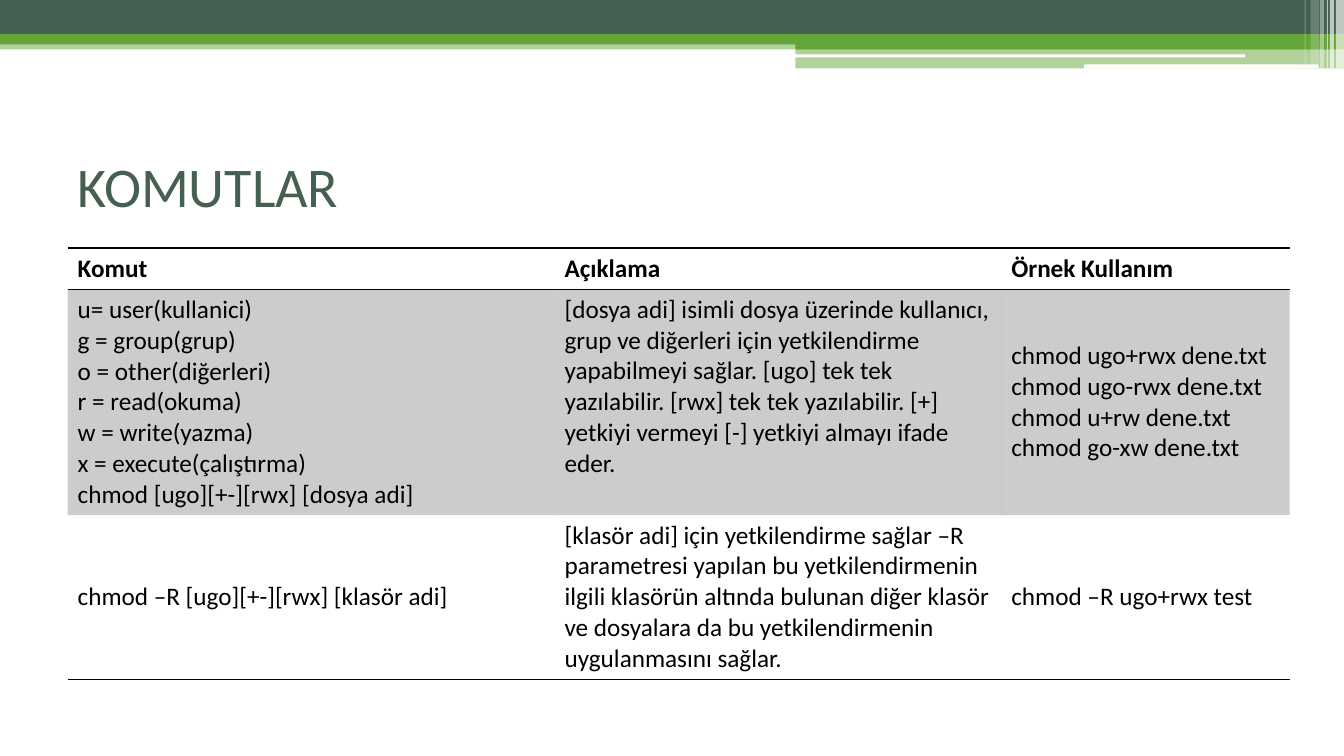
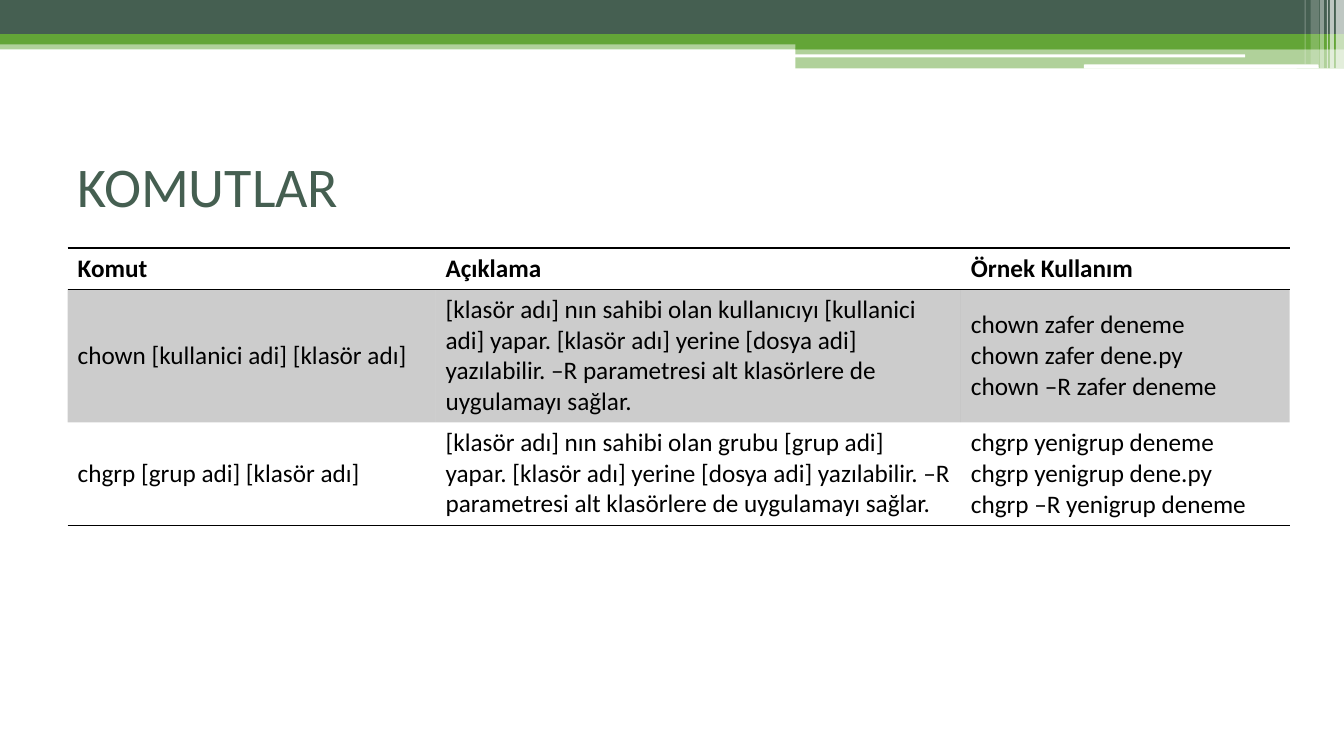
from dataclasses import dataclass

from lxml.etree import SubElement
from pptx import Presentation
from pptx.dml.color import RGBColor
from pptx.enum.shapes import MSO_SHAPE
from pptx.enum.text import MSO_ANCHOR, PP_ALIGN
from pptx.oxml.ns import qn
from pptx.util import Pt

PX = 9144  # EMU per px, 100 px to the inch


@dataclass(frozen=True)
class Theme:
    font: str = "Calibri"
    title_size: int = 40
    cell_size: int = 18
    rule_width: int = 1
    dark: str = "455F51"
    green: str = "63A537"
    white: str = "FFFFFF"
    black: str = "000000"
    stripe_opacity: int = 20


THEME = Theme()
SLIDE_SIZE = (1333, 750)
TITLE_BOX = (67, 125, 1200, 117)
TABLE_ORIGIN = (67, 246)
NO_TABLE_STYLE = "{2D5ABB26-0587-4C30-8999-92F81FD0307C}"

# left, top, width, height, colour, opacity in percent
BANDS = [
    (0, 40, 1333, 9, THEME.green, 50),
    (0, 0, 1333, 34, THEME.dark, 100),
    (0, 34, 1333, 10, THEME.green, 100),
    (789, 39, 544, 10, THEME.green, 100),
    (789, 48, 544, 20, THEME.green, 50),
]
ROUNDED_LINES = [
    (788, 54, 447, 3, THEME.white, 100),
    (1075, 64, 233, 4, THEME.white, 100),
]
CORNER_STRIPS = [
    (1325, 0, 8, 68, THEME.white, 65),
    (1319, 0, 4, 68, THEME.white, 65),
    (1316, 0, 1, 68, THEME.white, 60),
    (1309, 0, 4, 68, THEME.white, 40),
    (1300, 0, 8, 64, THEME.white, 20),
    (1294, 0, 1, 64, THEME.white, 30),
]

HEADER = ["Komut", "Açıklama", "Örnek Kullanım"]
COLUMN_ANCHORS = [MSO_ANCHOR.MIDDLE, MSO_ANCHOR.TOP, MSO_ANCHOR.MIDDLE]
SLIDES = [
    {
        "title": "KOMUTLAR",
        "columns": [483, 443, 286],
        "heights": [41, 224, 163],
        "commands": [
            [
                "u= user(kullanici)\ng = group(grup)\no = other(diğerleri)\n"
                "r = read(okuma)\nw = write(yazma)\nx = execute(çalıştırma)\n"
                "chmod [ugo][+-][rwx] [dosya adi]",
                "[dosya adi] isimli dosya üzerinde kullanıcı, grup ve diğerleri için "
                "yetkilendirme yapabilmeyi sağlar. [ugo] tek tek yazılabilir. [rwx] tek "
                "tek yazılabilir. [+] yetkiyi vermeyi [-] yetkiyi almayı ifade eder.",
                "chmod ugo+rwx dene.txt\nchmod ugo-rwx dene.txt\n"
                "chmod u+rw dene.txt\nchmod go-xw dene.txt",
            ],
            [
                "chmod –R [ugo][+-][rwx] [klasör adi]",
                "[klasör adi] için yetkilendirme sağlar –R parametresi yapılan bu "
                "yetkilendirmenin ilgili klasörün altında bulunan diğer klasör ve "
                "dosyalara da bu yetkilendirmenin uygulanmasını sağlar.",
                "chmod –R ugo+rwx test",
            ],
        ],
    },
    {
        "title": "KOMUTLAR",
        "columns": [365, 521, 326],
        "heights": [41, 132, 102],
        "commands": [
            [
                "chown [kullanici adi] [klasör adı]",
                "[klasör adı] nın sahibi olan kullanıcıyı [kullanici adi] yapar. "
                "[klasör adı] yerine [dosya adi] yazılabilir. –R parametresi alt "
                "klasörlere de uygulamayı sağlar.",
                "chown zafer deneme\nchown zafer dene.py\nchown –R zafer deneme",
            ],
            [
                "chgrp [grup adi] [klasör adı]",
                "[klasör adı] nın sahibi olan grubu [grup adi] yapar. [klasör adı] "
                "yerine [dosya adi] yazılabilir. –R parametresi alt klasörlere de "
                "uygulamayı sağlar.",
                "chgrp yenigrup deneme\nchgrp yenigrup dene.py\n"
                "chgrp –R yenigrup deneme",
            ],
        ],
    },
]


def emu(lengths):
    return [length * PX for length in lengths]


def paint(fill, color, opacity=100):
    fill.solid()
    fill.fore_color.rgb = RGBColor.from_string(color)
    if opacity < 100:
        rgb = next(fill._xPr.iter(qn("a:srgbClr")))
        SubElement(rgb, qn("a:alpha"), val=str(opacity * 1000))


def write(frame, text, *, size, color, bold=False, anchor=MSO_ANCHOR.MIDDLE):
    """Fill a text frame, one paragraph for each line of text."""
    frame.text = text
    frame.word_wrap = True
    frame.vertical_anchor = anchor
    for paragraph in frame.paragraphs:
        paragraph.alignment = PP_ALIGN.LEFT
        for run in paragraph.runs:
            run.font.name = THEME.font
            run.font.size = Pt(size)
            run.font.bold = bold
            run.font.color.rgb = RGBColor.from_string(color)


def add_rule(cell, side):
    """Draw a border line on one side of a cell: lnT or lnB."""
    line = SubElement(cell._tc.get_or_add_tcPr(), qn(f"a:{side}"),
                      w=str(Pt(THEME.rule_width)))
    fill = SubElement(line, qn("a:solidFill"))
    SubElement(fill, qn("a:srgbClr"), val=THEME.black)


def add_bands(slide, layout):
    """Draw the top bands and hand them to the layout that all slides share."""
    groups = [
        (MSO_SHAPE.RECTANGLE, BANDS),
        (MSO_SHAPE.ROUNDED_RECTANGLE, ROUNDED_LINES),
        (MSO_SHAPE.RECTANGLE, CORNER_STRIPS),
    ]
    for preset, bands in groups:
        for *box, color, opacity in bands:
            band = slide.shapes.add_shape(preset, *emu(box))
            band.shadow.inherit = False
            band.line.fill.background()
            paint(band.fill, color, opacity)
            layout.shapes.element.append(band.element)


def prepare_layout(layout):
    """Place the title and drop the other placeholders."""
    for holder in list(layout.placeholders):
        if holder.placeholder_format.idx == 0:
            holder.left, holder.top, holder.width, holder.height = emu(TITLE_BOX)
        else:
            holder.element.getparent().remove(holder.element)


def add_command_table(slide, columns, heights, commands):
    rows = [HEADER, *commands]
    size = (sum(columns), sum(heights))
    frame = slide.shapes.add_table(len(rows), len(columns),
                                   *emu(TABLE_ORIGIN + size))
    table = frame.table
    table.horz_banding = False
    table._tbl.tblPr.find(qn("a:tableStyleId")).text = NO_TABLE_STYLE
    for column, width in zip(table.columns, emu(columns)):
        column.width = width
    for row, height in zip(table.rows, emu(heights)):
        row.height = height

    for r, texts in enumerate(rows):
        is_header = r == 0
        for c, text in enumerate(texts):
            cell = table.cell(r, c)
            anchor = MSO_ANCHOR.TOP if is_header else COLUMN_ANCHORS[c]
            write(cell.text_frame, text, size=THEME.cell_size,
                  color=THEME.black, bold=is_header)
            cell.vertical_anchor = anchor
            if is_header:
                add_rule(cell, "lnT")
            if is_header or r == len(rows) - 1:
                add_rule(cell, "lnB")
            if r % 2:
                paint(cell.fill, THEME.black, THEME.stripe_opacity)
            else:
                cell.fill.background()


def main():
    deck = Presentation()
    deck.slide_width, deck.slide_height = emu(SLIDE_SIZE)
    layout = deck.slide_layouts.get_by_name("Title Only")
    prepare_layout(layout)
    for content in SLIDES:
        slide = deck.slides.add_slide(layout)
        write(slide.shapes.title.text_frame, content["title"],
              size=THEME.title_size, color=THEME.dark)
        add_command_table(slide, content["columns"], content["heights"],
                          content["commands"])
    add_bands(deck.slides[0], layout)
    deck.save("out.pptx")


if __name__ == "__main__":
    main()
